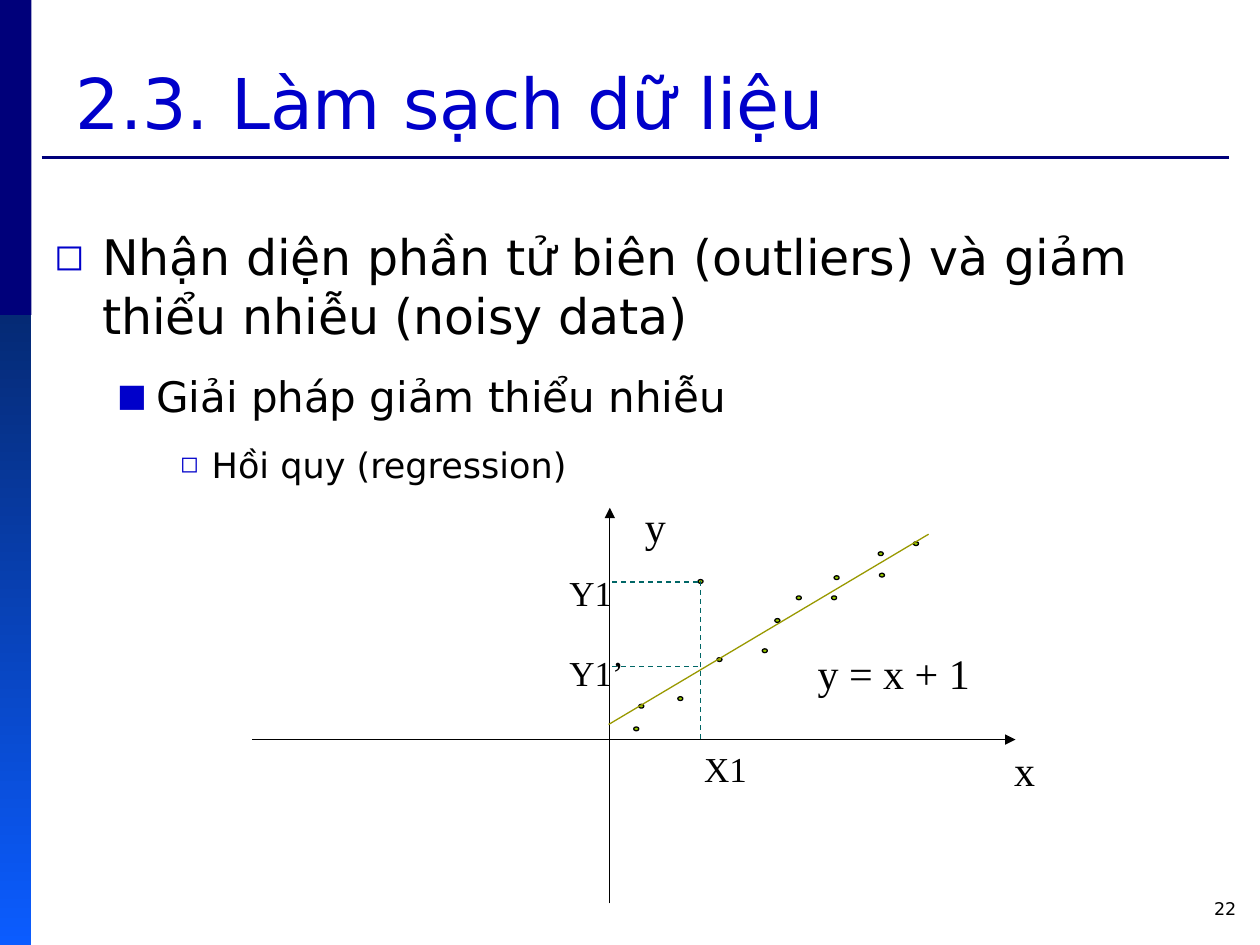
from lxml.etree import SubElement
from pptx import Presentation
from pptx.dml.color import RGBColor
from pptx.enum.dml import MSO_LINE
from pptx.enum.shapes import MSO_CONNECTOR, MSO_SHAPE
from pptx.enum.text import MSO_ANCHOR, MSO_AUTO_SIZE, PP_ALIGN
from pptx.oxml.ns import qn
from pptx.util import Inches, Pt

NAVY = RGBColor(0x00, 0x00, 0x7A)
BLUE = RGBColor(0x00, 0x00, 0xCA)
BAND_TOP = RGBColor(0x05, 0x2A, 0x75)
BAND_BOTTOM = RGBColor(0x0B, 0x5C, 0xFF)
BLACK = RGBColor(0, 0, 0)
LIME = RGBColor(0x99, 0xCC, 0x00)
OLIVE = RGBColor(0x99, 0x99, 0x00)
TEAL = RGBColor(0x00, 0x66, 0x66)
SANS = "DejaVu Sans"
SERIF = "Times New Roman"

TITLE = "2.3. Làm sạch dữ liệu"
OUTLINE = [
    ("Nhận diện phần tử biên (outliers) và giảm thiểu nhiễu (noisy data)", 28, 17.5, "◻", 75, 0.38, 0.38),
    ("Giải pháp giảm thiểu nhiễu", 24, 15, "■", 75, 0.81, 0.31),
    ("Hồi quy (regression)", 20, 12.5, "◻", 65, 1.25, 0.25),
]
PAGE_NUMBER = "22"

AXES = [((2, 5.87), (8.06, 5.87)), ((4.84, 7.17), (4.84, 4.03))]
DATA_POINTS = [
    (6.05, 5.15), (5.69, 5.22), (5.54, 4.6), (5.38, 5.53), (6.15, 4.91),
    (6.32, 4.73), (5.07, 5.59), (6.6, 4.73), (6.62, 4.57), (6.98, 4.55),
    (5.03, 5.77), (6.97, 4.38), (7.25, 4.3),
]
REGRESSION_LINE = ((4.83, 5.75), (7.37, 4.24))
GUIDES = [
    ((5.56, 4.61), (5.56, 5.88)),
    ((5.54, 4.62), (4.84, 4.62)),
    ((5.54, 5.29), (4.83, 5.29)),
]
LABELS = [
    ("x", 24, (7.95, 5.86, 0.36, 0.5)),
    ("y", 24, (5.02, 3.92, 0.36, 0.5)),
    ("y = x + 1", 24, (6.39, 5.09, 1.41, 0.5)),
    ("X1", 20, (5.49, 5.88, 0.54, 0.44)),
    ("Y1", 20, (4.42, 4.49, 0.54, 0.44)),
    ("Y1’", 20, (4.42, 5.12, 0.63, 0.44)),
]


def inches(values):
    return [Inches(value) for value in values]


def place(holder, box):
    holder.left, holder.top, holder.width, holder.height = inches(box)


def set_font(paragraph, size, name, color):
    paragraph.font.size = Pt(size)
    paragraph.font.name = name
    paragraph.font.color.rgb = color


def set_bullet(paragraph, char, percent, indent, hanging):
    properties = paragraph._p.get_or_add_pPr()
    properties.set("marL", str(Inches(indent)))
    properties.set("indent", str(-Inches(hanging)))
    color = SubElement(properties, qn("a:buClr"))
    SubElement(color, qn("a:srgbClr"), val=str(BLUE))
    SubElement(properties, qn("a:buSzPct"), val=str(percent * 1000))
    SubElement(properties, qn("a:buFont"), typeface=SANS)
    SubElement(properties, qn("a:buChar"), char=char)


def add_line(slide, ends, color, width=0.75, dashed=False, arrow=False):
    start, end = ends
    line = slide.shapes.add_connector(MSO_CONNECTOR.STRAIGHT, *inches(start + end))
    line.line.color.rgb = color
    line.line.width = Pt(width)
    if dashed:
        line.line.dash_style = MSO_LINE.DASH
    if arrow:
        SubElement(line.line._get_or_add_ln(), qn("a:tailEnd"), type="triangle")
    SubElement(line._element.spPr, qn("a:effectLst"))


def add_solid(slide, kind, box, color):
    solid = slide.shapes.add_shape(kind, *inches(box))
    solid.shadow.inherit = False
    solid.fill.solid()
    solid.fill.fore_color.rgb = color
    solid.line.fill.background()
    return solid


def add_label(slide, text, size, box, font=SERIF):
    label = slide.shapes.add_textbox(*inches(box))
    label.text_frame.text = text
    paragraph = label.text_frame.paragraphs[0]
    set_font(paragraph, size, font, BLACK)
    return label.text_frame


def add_decoration(slide):
    add_solid(slide, MSO_SHAPE.RECTANGLE, (0, 0, 0.25, 2.5), NAVY)
    add_line(slide, ((0.33, 1.25), (9.75, 1.25)), NAVY, width=1.5)
    band = add_solid(slide, MSO_SHAPE.RECTANGLE, (0, 2.5, 0.25, 5), BAND_TOP)
    band.fill.gradient()
    band.fill.gradient_angle = 270
    for stop, color in zip(band.fill.gradient_stops, (BAND_TOP, BAND_BOTTOM)):
        stop.color.rgb = color


def fill_text(slide):
    title, body = slide.placeholders
    place(title, (0.5, 0.08, 9.33, 1.11))
    title.text_frame.text = TITLE
    title.text_frame.vertical_anchor = MSO_ANCHOR.BOTTOM
    title.text_frame.auto_size = MSO_AUTO_SIZE.NONE
    heading = title.text_frame.paragraphs[0]
    heading.alignment = PP_ALIGN.LEFT
    set_font(heading, 40, SANS, BLUE)

    place(body, (0.33, 1.75, 9.42, 5.58))
    body.text_frame.text = "\n".join(item[0] for item in OUTLINE)
    body.text_frame.auto_size = MSO_AUTO_SIZE.NONE
    for level, (paragraph, item) in enumerate(zip(body.text_frame.paragraphs, OUTLINE)):
        _, size, space, char, percent, indent, hanging = item
        paragraph.level = level
        paragraph.space_before = Pt(space)
        set_bullet(paragraph, char, percent, indent, hanging)
        set_font(paragraph, size, SANS, BLACK)

    number = add_label(slide, PAGE_NUMBER, 10, (7.58, 7.08, 2.33, 0.33), SANS)
    number.word_wrap = True
    number.paragraphs[0].alignment = PP_ALIGN.RIGHT


def add_regression_plot(slide):
    for axis in AXES:
        add_line(slide, axis, BLACK, arrow=True)
    for point in DATA_POINTS:
        dot = add_solid(slide, MSO_SHAPE.OVAL, point + (0.04, 0.03), LIME)
        dot.line.color.rgb = BLACK
        dot.line.width = Pt(0.75)
    add_line(slide, REGRESSION_LINE, OLIVE)
    for guide in GUIDES:
        add_line(slide, guide, TEAL, dashed=True)
    for text, size, box in LABELS:
        frame = add_label(slide, text, size, box)
        frame.word_wrap = False
        frame.auto_size = MSO_AUTO_SIZE.SHAPE_TO_FIT_TEXT


def main():
    deck = Presentation()
    deck.slide_width, deck.slide_height = Inches(10), Inches(7.5)
    slide = deck.slides.add_slide(deck.slide_layouts[1])
    add_decoration(slide)
    fill_text(slide)
    add_regression_plot(slide)
    deck.save("out.pptx")


if __name__ == "__main__":
    main()
